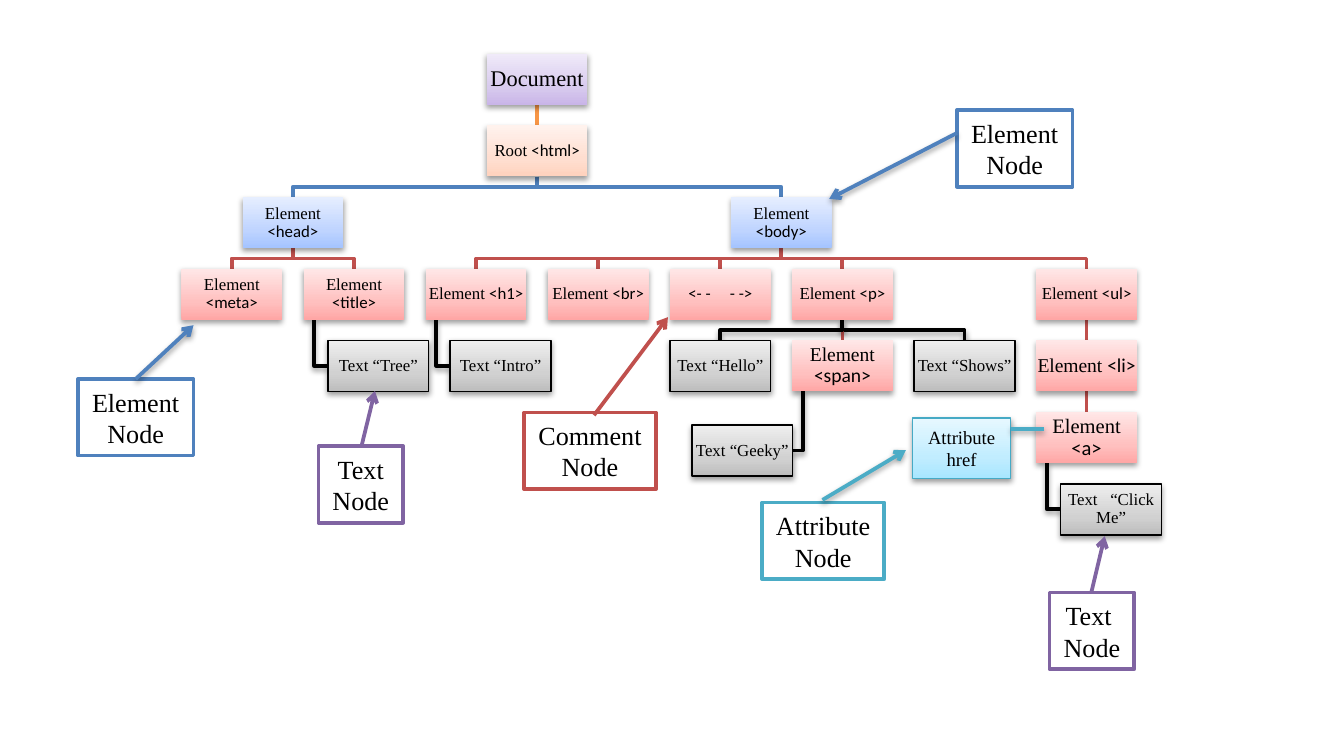
from copy import deepcopy

from pptx import Presentation
from pptx.dml.color import RGBColor
from pptx.enum.shapes import MSO_CONNECTOR, MSO_SHAPE
from pptx.enum.text import MSO_ANCHOR, PP_ALIGN
from pptx.oxml.ns import qn
from pptx.util import Inches, Pt
from lxml.etree import SubElement

COLORS = {
    "black": "000000", "white": "FFFFFF", "orange": "F79646", "blue": "4F81BD",
    "red": "C0504D", "teal": "4BACC6", "dark teal": "46AAC5", "purple": "8064A2",
}
GRADIENTS = {
    "document": ("C9B5E8", "D8CBEE", "F0EAF9"),
    "root": ("FFD2BD", "FFDED0", "FFF2ED"),
    "section": ("A4C4FF", "BFD4FF", "E6EEFF"),
    "element": ("FFA6A5", "FFC0BF", "FFE7E7"),
    "text": ("BDBDBD", "D1D1D1", "EEEEEE"),
    "attribute": ("A7E6FF", "C1EDFF", "E7F8FF"),
}
BRANCH_COLORS = {"root": "orange", "section": "blue", "element": "red", "text": "black"}

NODE_WIDTH, NODE_HEIGHT = 0.75, 0.38
LEFT, TOP = 1.35, 0.4
COLUMN_STEP = (7.71 - LEFT) / 7
ROW_STEP = (3.6 - TOP) / 6
HANG_INDENT = 0.08

# label, parent, kind, column, row, text size
NODES = [
    ("Document", None, "document", 2.5, 0, 12),
    ("Root <html>", "Document", "root", 2.5, 1, 9),
    ("Element <head>", "Root <html>", "section", 0.5, 2, 9),
    ("Element <meta>", "Element <head>", "element", 0, 3, 9),
    ("Element <title>", "Element <head>", "element", 1, 3, 9),
    ("Text “Tree”", "Element <title>", "text", 1.2, 4, 9),
    ("Element <body>", "Root <html>", "section", 4.5, 2, 9),
    ("Element <h1>", "Element <body>", "element", 2, 3, 9),
    ("Text “Intro”", "Element <h1>", "text", 2.2, 4, 9),
    ("Element <br>", "Element <body>", "element", 3, 3, 9),
    ("<- -     - ->", "Element <body>", "element", 4, 3, 9),
    ("Element <p>", "Element <body>", "element", 5, 3, 9),
    ("Text “Hello”", "Element <p>", "text", 4, 4, 9),
    ("Element <span>", "Element <p>", "element", 5, 4, 10.5),
    ("Text “Geeky”", "Element <span>", "text", 4.18, 5.18, 9),
    ("Text “Shows”", "Element <p>", "text", 6, 4, 9),
    ("Element <ul>", "Element <body>", "element", 7, 3, 9),
    ("Element <li>", "Element <ul>", "element", 7, 4, 10.5),
    ("Element <a>", "Element <li>", "element", 7, 5, 11),
    ("Text   “Click Me”", "Element <a>", "text", 7.2, 6, 9),
]
HANGING = {"Text “Tree”", "Text “Intro”", "Text “Geeky”", "Text   “Click Me”"}

# first line, color, box, arrow start, arrow end, arrow shadow
CALLOUTS = [
    ("Element", "blue", (7.12, 0.82, 0.86), (7.12, 0.99), (6.17, 1.48), True),
    ("Text ", "purple", (7.81, 4.41, 0.63), (8.12, 4.41), (8.22, 3.99), False),
    ("Element", "blue", (0.58, 2.82, 0.86), (1.01, 2.82), (1.44, 2.42), True),
    ("Attribute", "teal", (5.67, 3.74, 0.91), (6.12, 3.72), (6.74, 3.35), True),
    ("Text", "purple", (2.37, 3.32, 0.63), (2.69, 3.32), (2.79, 2.91), False),
    ("Comment", "red", (3.9, 3.07, 0.98), (4.42, 3.09), (4.97, 2.36), False),
]
CALLOUT_HEIGHT = 0.57


def write(shape, text, size=9, wrap=False, margin=None, spacing=1.0):
    """Centre text in a shape, setting markup from the first "<" in Calibri."""
    frame = shape.text_frame
    frame.word_wrap = wrap
    frame.vertical_anchor = MSO_ANCHOR.MIDDLE
    if margin is not None:
        frame.margin_left = frame.margin_right = Inches(margin)
        frame.margin_top = frame.margin_bottom = Inches(margin)
    for number, line in enumerate(text.split("\n")):
        paragraph = frame.add_paragraph() if number else frame.paragraphs[0]
        paragraph.alignment = PP_ALIGN.CENTER
        paragraph.line_spacing = spacing
        words, sign, tag = line.partition("<")
        for part, font in ((words, "Times New Roman"), (sign + tag, "Calibri")):
            if part:
                run = paragraph.add_run()
                run.text = part
                run.font.name = font
                run.font.size = Pt(size)
                run.font.color.rgb = RGBColor.from_string(COLORS["black"])


def finish(shape, color=None, width=2, shadow=False, arrow=False, gradient=None):
    """Set the line, arrowhead, shadow and gradient of a shape or connector."""
    if color:
        shape.line.color.rgb = RGBColor.from_string(COLORS[color])
        shape.line.width = Pt(width)
    else:
        shape.line.fill.background()
    properties = shape._element.spPr
    if arrow:
        SubElement(properties.find(qn("a:ln")), qn("a:tailEnd"), type="arrow")
    effects = SubElement(properties, qn("a:effectLst"))
    if shadow:
        outer = SubElement(effects, qn("a:outerShdw"), blurRad="39370", dist="20320",
                           dir="5400000", rotWithShape="0")
        black = SubElement(outer, qn("a:srgbClr"), val=COLORS["black"])
        SubElement(black, qn("a:alpha"), val="38000")
    if gradient:
        shape.fill.gradient()
        shape.fill.gradient_angle = 90
        stops = properties.find(".//" + qn("a:gsLst"))
        stops.append(deepcopy(stops[0]))
        for stop, position, tint in zip(shape.fill.gradient_stops, (0, 0.35, 1),
                                        GRADIENTS[gradient]):
            stop.position = position
            stop.color.rgb = RGBColor.from_string(tint)


presentation = Presentation()
presentation.slide_width = Inches(10)
presentation.slide_height = Inches(10 * 9 / 16)
slide = presentation.slides.add_slide(presentation.slide_layouts[6])
shapes = slide.shapes

corners = {label: (LEFT + column * COLUMN_STEP, TOP + row * ROW_STEP)
           for label, _, _, column, row, _ in NODES}

# Branches of the tree, behind the nodes
for label, parent, kind, *_ in reversed(NODES):
    if parent is None:
        continue
    x, y = corners[label]
    parent_x, parent_y = corners[parent]
    start_y = parent_y + NODE_HEIGHT
    if label in HANGING:
        stem_x = parent_x + HANG_INDENT
        side_x = x if x > stem_x else x + NODE_WIDTH
        middle_y = y + NODE_HEIGHT / 2
        points = [(stem_x, start_y), (stem_x, middle_y), (side_x, middle_y)]
    else:
        start_x, end_x = parent_x + NODE_WIDTH / 2, x + NODE_WIDTH / 2
        bend_y = (start_y + y) / 2
        points = [(start_x, start_y), (start_x, bend_y), (end_x, bend_y), (end_x, y)]
    points = [(Inches(across), Inches(down)) for across, down in points]
    if points[0][0] == points[-1][0]:
        branch = shapes.add_connector(MSO_CONNECTOR.STRAIGHT, *points[0], *points[-1])
    else:
        builder = shapes.build_freeform(*points[0])
        builder.add_line_segments(points[1:], close=False)
        branch = builder.convert_to_shape()
        branch.fill.background()
    finish(branch, BRANCH_COLORS[kind], shadow=kind == "text")

for label, _, kind, _, _, size in NODES:
    x, y = corners[label]
    node = shapes.add_shape(MSO_SHAPE.RECTANGLE, Inches(x), Inches(y),
                            Inches(NODE_WIDTH), Inches(NODE_HEIGHT))
    finish(node, "black" if kind == "text" else None, 0.75, shadow=True, gradient=kind)
    write(node, label, size=size, wrap=True, margin=0.01, spacing=0.9)

attribute = shapes.add_shape(MSO_SHAPE.RECTANGLE, Inches(6.79), Inches(3.11),
                             Inches(0.73), Inches(0.45))
finish(attribute, "dark teal", 0.75, shadow=True, gradient="attribute")
write(attribute, "Attribute\nhref", size=10)
attribute_link = shapes.add_connector(MSO_CONNECTOR.STRAIGHT, Inches(7.77), Inches(3.19),
                                      Inches(7.52), Inches(3.19))
finish(attribute_link, "teal", shadow=True)

for kind, color, (x, y, width), start, end, shadow in CALLOUTS:
    callout = shapes.add_shape(MSO_SHAPE.RECTANGLE, Inches(x), Inches(y),
                               Inches(width), Inches(CALLOUT_HEIGHT))
    callout.fill.solid()
    callout.fill.fore_color.rgb = RGBColor.from_string(COLORS["white"])
    finish(callout, color)
    write(callout, kind + "\nNode", size=14)
    pointer = shapes.add_connector(MSO_CONNECTOR.STRAIGHT,
                                   *(Inches(value) for value in start + end))
    finish(pointer, color, shadow=shadow, arrow=True)

presentation.save("out.pptx")
